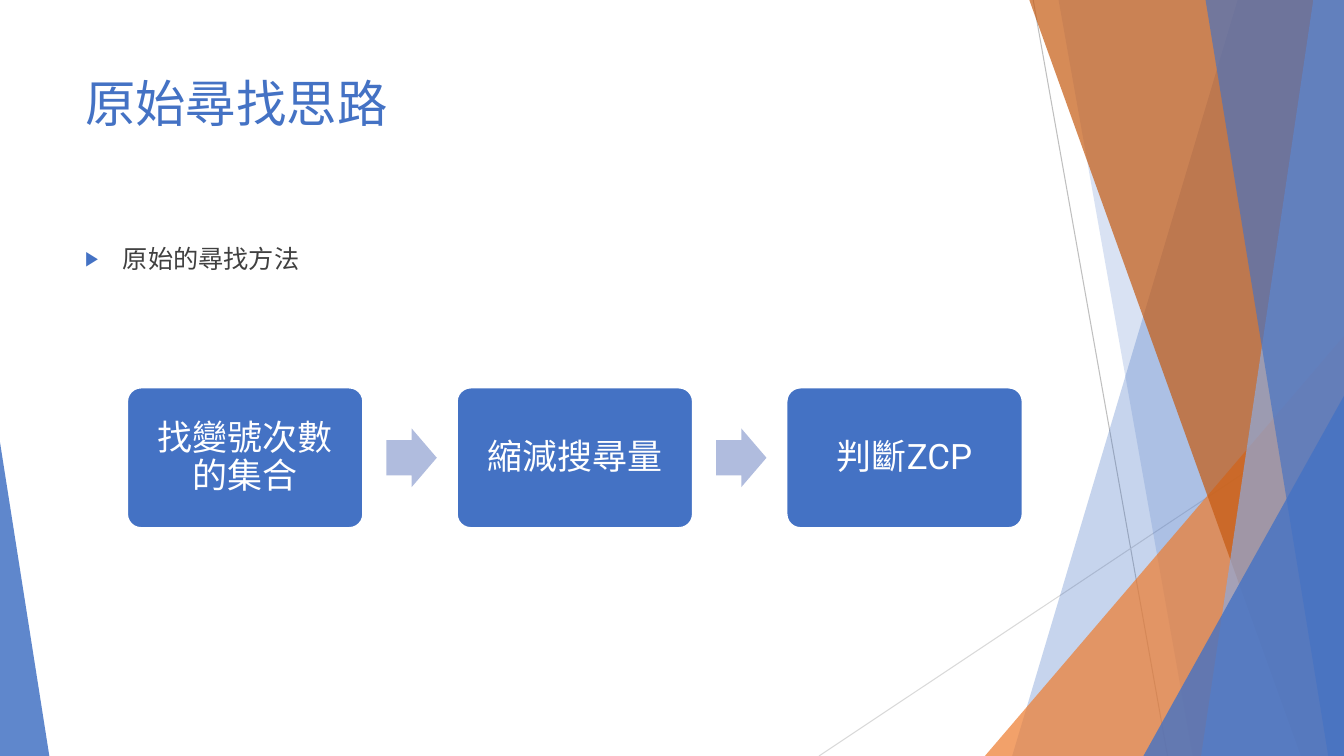
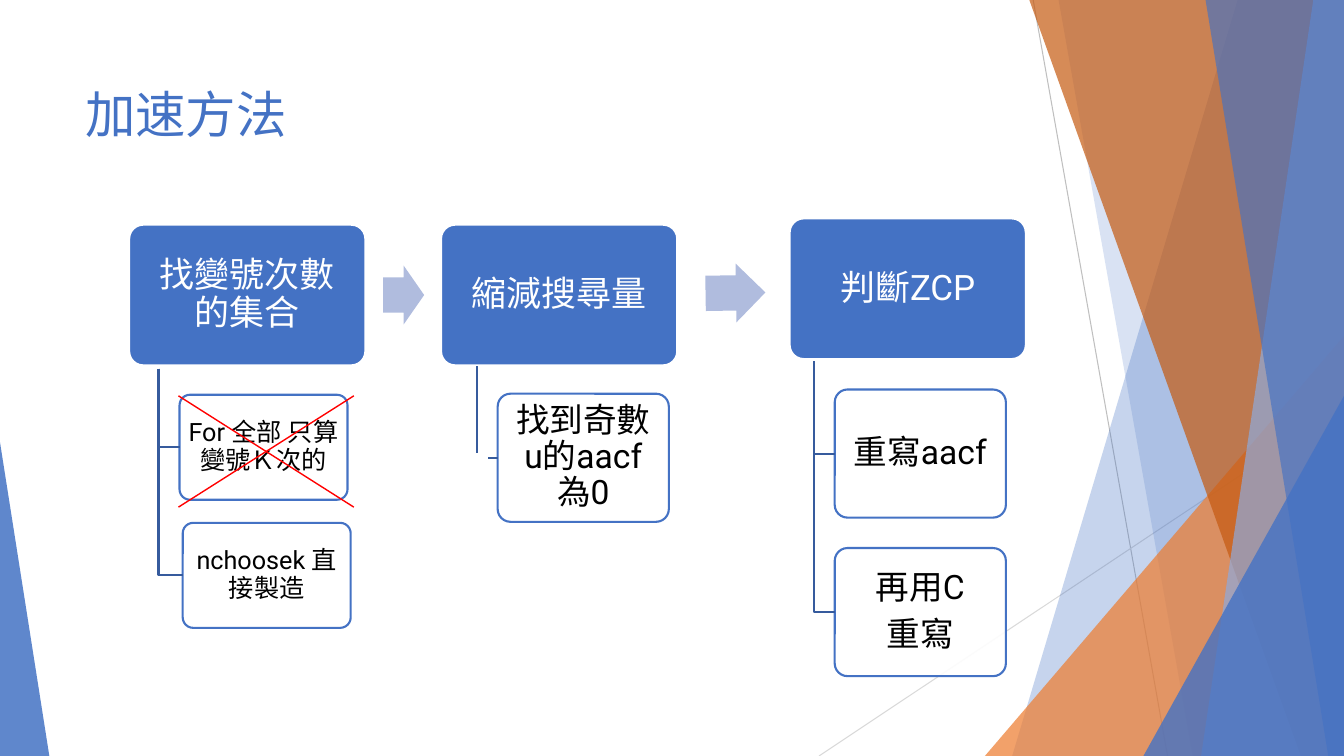
from lxml.etree import SubElement
from pptx import Presentation
from pptx.dml.color import RGBColor
from pptx.enum.shapes import MSO_CONNECTOR, MSO_SHAPE
from pptx.enum.text import MSO_ANCHOR, MSO_AUTO_SIZE, PP_ALIGN
from pptx.oxml.ns import qn
from pptx.util import Pt

PX = 9525
BLUE, ORANGE, RUST, SKY = "4472C4", "ED7D31", "C55A11", "8FAADC"
NAVY, LILAC, GREY, RED = "365B9D", "B0BCDE", "404040", "FF0000"
WHITE, BLACK = "FFFFFF", "000000"
FONT = "Roboto"


def paint(sp, fill=None, line=None, width=1.5, alpha=100):
    if fill:
        sp.fill.solid()
        sp.fill.fore_color.rgb = RGBColor.from_string(fill)
        if alpha < 100:
            clr = sp.element.spPr.find(qn("a:solidFill"))[0]
            SubElement(clr, qn("a:alpha"), val=str(alpha * 1000))
    elif hasattr(sp, "fill"):
        sp.fill.background()
    if line:
        sp.line.color.rgb = RGBColor.from_string(line)
        sp.line.width = Pt(width)
    else:
        sp.line.fill.background()
    SubElement(sp.element.spPr, qn("a:effectLst"))


def write(sp, text, size=18, color=BLACK, align=PP_ALIGN.LEFT,
          anchor=MSO_ANCHOR.TOP, inset=(10, 5), spacing=1.0):
    tf = sp.text_frame
    tf.word_wrap = True
    tf.auto_size = MSO_AUTO_SIZE.NONE
    tf.vertical_anchor = anchor
    tf.margin_left = tf.margin_right = inset[0] * PX
    tf.margin_top = tf.margin_bottom = inset[1] * PX
    lines = text.split("\n")
    for i, words in enumerate(lines):
        p = tf.paragraphs[0] if i == 0 else tf.add_paragraph()
        p.alignment = align
        p.line_spacing = spacing
        p.space_before = Pt(0)
        p.space_after = Pt(round(size * 0.35) if i < len(lines) - 1 else 0)
        r = p.add_run()
        r.text = words
        r.font.size = Pt(size)
        r.font.color.rgb = RGBColor.from_string(color)
        r.font.name = FONT
        SubElement(r.font._element, qn("a:ea"), typeface=FONT)


prs = Presentation()
prs.slide_width, prs.slide_height = 1280 * PX, 720 * PX
s1 = prs.slides.add_slide(prs.slide_layouts[1])
s2 = prs.slides.add_slide(prs.slide_layouts[5])
centred = dict(align=PP_ALIGN.CENTER, anchor=MSO_ANCHOR.MIDDLE, spacing=0.9)

# Master decoration: thin lines, then translucent bands and triangles
decor = []
for x1, y1, x2, y2, color in [(984, 0, 1112, 720, "BFBFBF"),
                              (1280, 387, 780, 720, "D9D9D9")]:
    sp = s1.shapes.add_connector(MSO_CONNECTOR.STRAIGHT,
                                 x1 * PX, y1 * PX, x2 * PX, y2 * PX)
    paint(sp, line=color, width=0.75)
    decor.append(sp)

# A band has its upper and lower left x; a triangle has its box and apex
pieces = [
    ("band", (1179, 964), BLUE, 30),
    ("band", (1008, 1136), BLUE, 20),
    ("triangle", (938, 320, 342, 400, 1), ORANGE, 72),
    ("band", (980, 1239), RUST, 70),
    ("band", (1251, 1144), SKY, 70),
    ("band", (1148, 1265), BLUE, 65),
    ("triangle", (1089, 377, 191, 343, 1), BLUE, 80),
    ("triangle", (0, 421, 47, 299, 0), BLUE, 85),
]
for kind, geometry, color, alpha in pieces:
    if kind == "band":
        top_x, bottom_x = geometry
        outline = s1.shapes.build_freeform(top_x, -1, scale=PX)
        outline.add_line_segments([(1280, -1), (1280, 720), (bottom_x, 720)])
        sp = outline.convert_to_shape()
    else:
        *box, apex = geometry
        sp = s1.shapes.add_shape(MSO_SHAPE.ISOSCELES_TRIANGLE,
                                 *(v * PX for v in box))
        sp.adjustments[0] = apex
    paint(sp, color, alpha=alpha)
    decor.append(sp)

tree = prs.slide_master.placeholders[0].element.getparent()
for i, sp in enumerate(decor):
    tree.insert(2 + i, sp.element)

# Titles
for s, text, y in [(s1, "原始尋找思路", 64), (s2, "加速方法", 74)]:
    sp = s.shapes.title
    sp.left, sp.top, sp.width, sp.height = 71 * PX, y * PX, 902 * PX, 138 * PX
    write(sp, text, size=36, color=BLUE)

# Bulleted line on the first slide
sp = s1.placeholders[1]
sp.left, sp.top, sp.width, sp.height = 71 * PX, 227 * PX, 902 * PX, 407 * PX
write(sp, "原始的尋找方法", color=GREY)
pPr = sp.text_frame.paragraphs[0]._p.get_or_add_pPr()
pPr.set("marL", str(36 * PX))
pPr.set("indent", str(-36 * PX))
SubElement(SubElement(pPr, qn("a:buClr")), qn("a:srgbClr"), val=BLUE)
SubElement(pPr, qn("a:buSzPct"), val="80000")
SubElement(pPr, qn("a:buChar"), char="▶")

# Three steps and two arrows on each slide
steps = ["找變號次數的集合", "縮減搜尋量", "判斷ZCP"]
flows = [
    (s1, [(121 + 314 * i, 369) for i in range(3)],
     [(368 + 314 * i, 408, 48, 0) for i in range(2)]),
    (s2, [(123, 214), (420, 214), (752, 208)],
     [(365, 253, 39, 0), (672, 251, 57, -0.9)]),
]
for s, corners, arrows in flows:
    for text, (x, y) in zip(steps, corners):
        sp = s.shapes.add_shape(MSO_SHAPE.ROUNDED_RECTANGLE,
                                x * PX, y * PX, 225 * PX, 134 * PX)
        sp.adjustments[0] = 0.1
        paint(sp, BLUE, WHITE)
        write(sp, text, size=25, color=WHITE, inset=(10, 10), **centred)
    for x, y, w, angle in arrows:
        sp = s.shapes.add_shape(MSO_SHAPE.RIGHT_ARROW,
                                x * PX, y * PX, w * PX, 56 * PX)
        sp.adjustments[0], sp.adjustments[1] = 0.6, 0.5
        sp.rotation = angle
        paint(sp, LILAC)

# Details under the steps, each with the top of its stem
small = dict(size=18, inset=(4, 3))
large = dict(size=24, inset=(8, 5))
details = [
    ("For 全部 只算變號Ｋ次的", (171, 376, 160, 100), (151, 351), small),
    ("nchoosek 直接製造", (174, 498, 160, 100), (151, 351), small),
    ("找到奇數u的aacf為0", (474, 375, 163, 122), None, large),
    ("重寫aacf", (795, 371, 163, 122), (775, 344), large),
    ("再用C\n重寫", (795, 522, 163, 122), (775, 344), large),
]
for text, (x, y, w, h), stem, style in details:
    sp = s2.shapes.add_shape(MSO_SHAPE.ROUNDED_RECTANGLE,
                             x * PX, y * PX, w * PX, h * PX)
    sp.adjustments[0] = 0.1
    paint(sp, WHITE, BLUE, alpha=90)
    write(sp, text, **style, **centred)
    middle = y + h // 2
    if stem:
        outline = s2.shapes.build_freeform(*stem, scale=PX)
        outline.add_line_segments([(stem[0], middle), (x, middle)], close=False)
        paint(outline.convert_to_shape(), line=NAVY)
    else:
        # Broken stem: a vertical line and a separate short dash
        drop = s2.shapes.add_connector(MSO_CONNECTOR.STRAIGHT,
                                       454 * PX, 349 * PX, 454 * PX, 431 * PX)
        paint(drop, line=NAVY)
        dash = s2.shapes.add_connector(MSO_CONNECTOR.STRAIGHT, 465 * PX,
                                       middle * PX, x * PX, middle * PX)
        dash.end_connect(sp, 1)
        paint(dash, line=NAVY)

# Red cross over the first detail
for y1, y2 in [(377, 483), (483, 377)]:
    sp = s2.shapes.add_connector(MSO_CONNECTOR.STRAIGHT,
                                 170 * PX, y1 * PX, 337 * PX, y2 * PX)
    paint(sp, line=RED, width=1)

prs.save("out.pptx")
